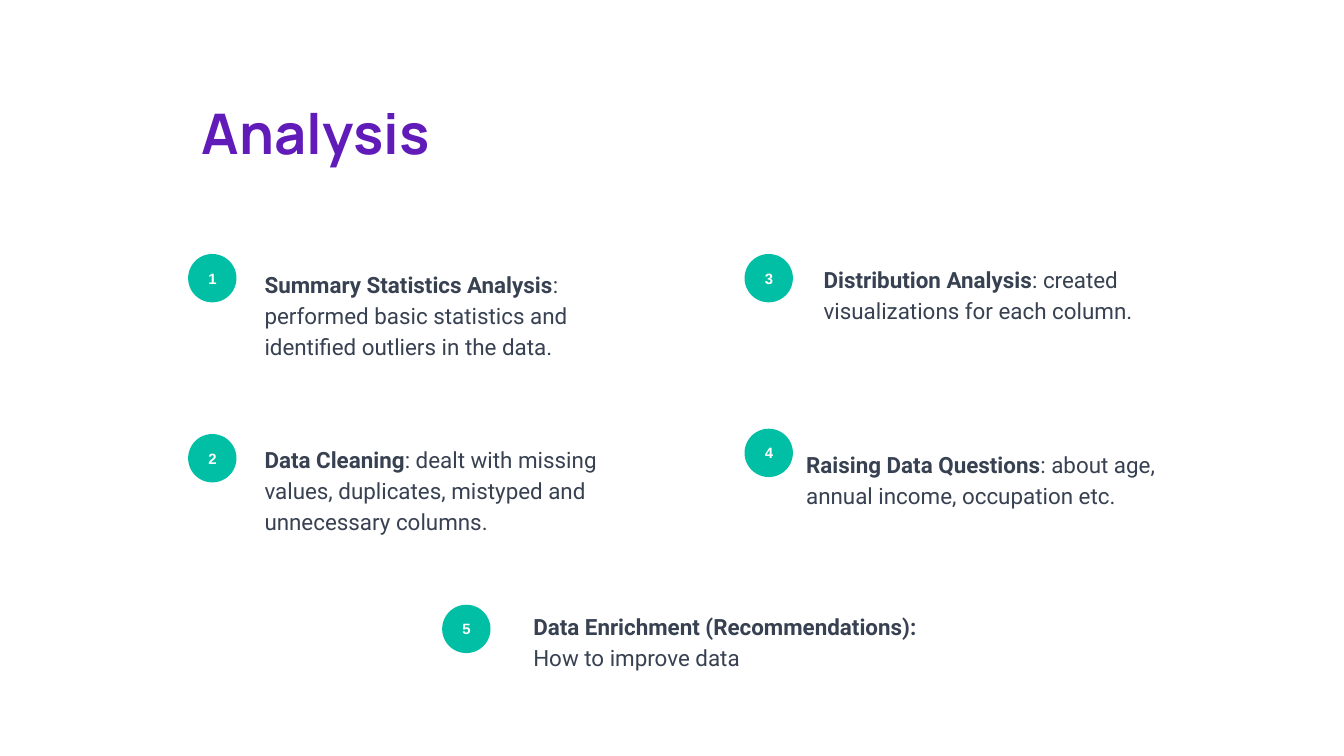
from pptx import Presentation
from pptx.dml.color import RGBColor
from pptx.enum.shapes import MSO_SHAPE
from pptx.enum.text import MSO_ANCHOR, MSO_AUTO_SIZE, PP_ALIGN
from pptx.util import Inches, Pt

COLORS = {"title": "611BB8", "dot": "00BFA5", "text": "374151", "white": "FFFFFF"}
WIDTH = 10
DOT = 0.36
STEPS = [
    (1.4, 1.89, 1.87, 1.89, 0.87, "Summary Statistics Analysis",
     ": performed basic statistics and identified outliers in the data."),
    (1.4, 3.23, 1.87, 3.19, 0.87, "Data Cleaning",
     ": dealt with missing values, duplicates, mistyped and unnecessary columns."),
    (5.54, 1.89, 6.03, 1.85, 0.64, "Distribution Analysis",
     ": created visualizations for each column."),
    (5.54, 3.19, 5.9, 3.23, 0.64, "Raising Data Questions",
     ": about age, annual income, occupation etc."),
    (3.29, 4.5, 3.87, 4.43, 0.64, "Data Enrichment (Recommendations):",
     " How to improve data"),
]


def style(font, name, size, color):
    font.name = name
    font.size = Pt(size)
    font.color.rgb = RGBColor.from_string(COLORS[color])


def setup(frame, anchor):
    frame.word_wrap = True
    frame.vertical_anchor = anchor
    frame.margin_left = frame.margin_right = Inches(0.1)
    frame.margin_top = frame.margin_bottom = Inches(0.1)
    return frame.paragraphs[0]


deck = Presentation()
deck.slide_width = Inches(WIDTH)
deck.slide_height = Inches(WIDTH * 9 / 16)
slide = deck.slides.add_slide(deck.slide_layouts[5])

title = slide.shapes.title
title.left, title.top = Inches(1.4), Inches(0.63)
title.width, title.height = Inches(7.69), Inches(0.71)
title.text_frame.text = "Analysis"
para = setup(title.text_frame, MSO_ANCHOR.TOP)
title.text_frame.auto_size = MSO_AUTO_SIZE.SHAPE_TO_FIT_TEXT
para.alignment = PP_ALIGN.LEFT
style(para.font, "Manrope", 30, "title")
para.font.bold = True

for num, (left, top, x, y, height, head, body) in enumerate(STEPS, 1):
    dot = slide.shapes.add_shape(
        MSO_SHAPE.OVAL, Inches(left), Inches(top), Inches(DOT), Inches(DOT))
    dot.shadow.inherit = False
    dot.fill.solid()
    dot.fill.fore_color.rgb = RGBColor.from_string(COLORS["dot"])
    dot.line.fill.background()
    dot.text_frame.text = str(num)
    para = setup(dot.text_frame, MSO_ANCHOR.MIDDLE)
    para.alignment = PP_ALIGN.CENTER
    style(para.font, "Arial", 8, "white")
    para.font.bold = True

    box = slide.shapes.add_textbox(Inches(x), Inches(y), Inches(3.1), Inches(height))
    para = setup(box.text_frame, MSO_ANCHOR.TOP)
    box.text_frame.auto_size = MSO_AUTO_SIZE.SHAPE_TO_FIT_TEXT
    para.line_spacing = 1.15
    style(para.font, "Roboto", 12, "text")
    for text, bold in ((head, True), (body, False)):
        run = para.add_run()
        run.text = text
        run.font.bold = bold

deck.save("out.pptx")
